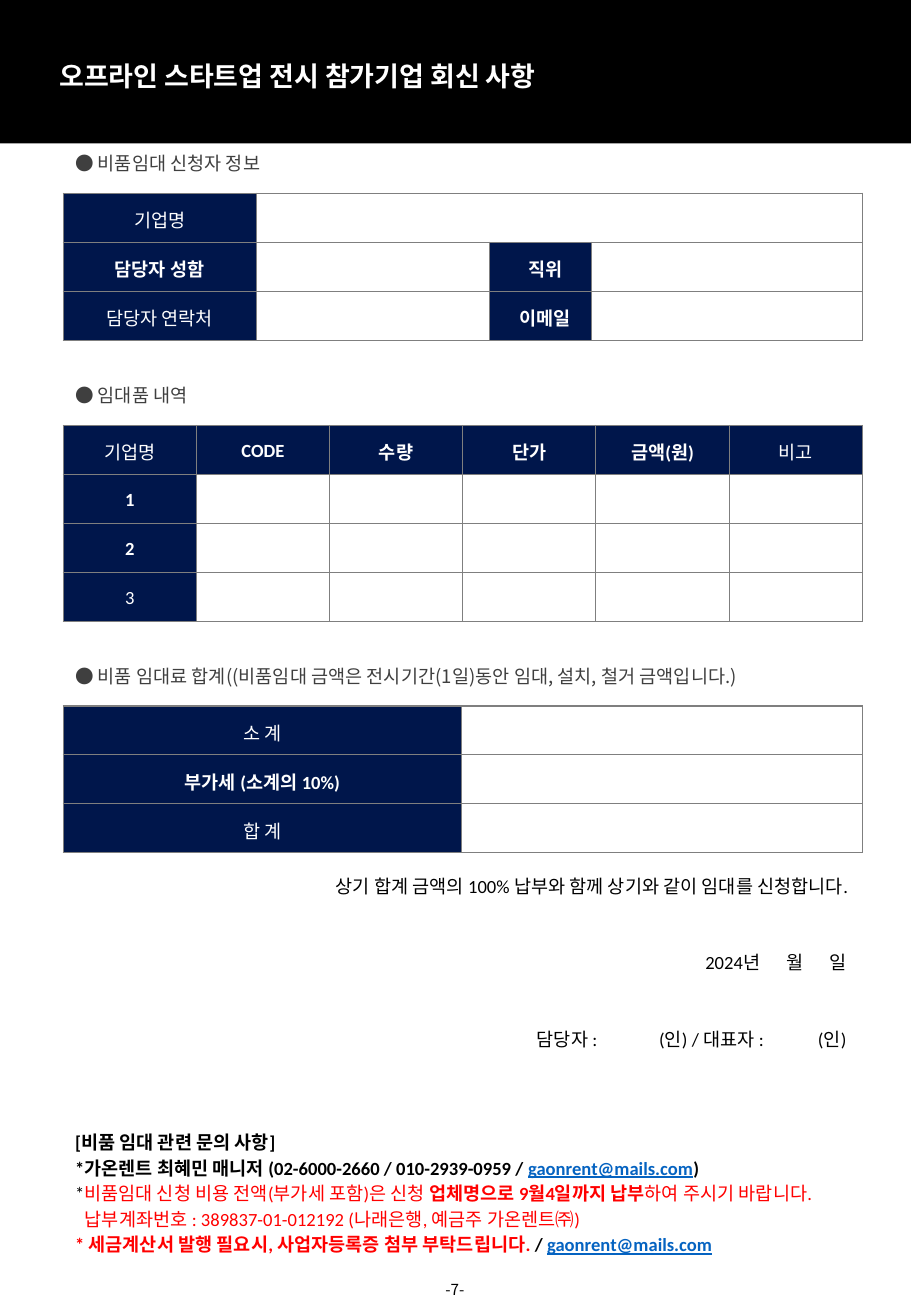
from dataclasses import dataclass
from lxml import etree
from pptx import Presentation
from pptx.dml.color import RGBColor
from pptx.enum.shapes import MSO_SHAPE as Shape
from pptx.enum.text import MSO_ANCHOR as Anchor, MSO_AUTO_SIZE as AutoSize, PP_ALIGN as Align
from pptx.oxml.ns import qn
from pptx.util import Inches, Pt


@dataclass(frozen=True)
class Theme:
    black: str = "000000"
    white: str = "FFFFFF"
    navy: str = "00164B"
    heading: str = "3F3F3F"
    border: str = "7F7F7F"
    warning: str = "FF0000"
    link: str = "0563C1"
    title_size: float = 16
    body_size: float = 11
    page_size: float = 9
    border_width: float = 0.75
    line_spacing: float = 1.15
    korean: str = "Noto Sans CJK KR"
    latin: str = "Calibri"
    title_font: str = "Arial"


UNIT = 0.1  # side of a grid square in inches
COLS, ROWS = 75, 108.3
LEFT, ROW_HEIGHT = 5.2, 4.03


def grid(n):
    return Inches(n * UNIT)


class Form:
    def __init__(self, slide, theme):
        self.slide, self.theme = slide, theme

    def style(self, r, size=None, color=None, bold=False, underline=False, font=None):
        t = self.theme
        f = r.font
        f.size, f.bold, f.underline = Pt(size or t.body_size), bold, underline
        f.color.rgb = RGBColor.from_string(color or t.black)
        f.name = font or t.latin
        latin = r._r.rPr.find(qn("a:latin"))
        ea = etree.Element(qn("a:ea"), typeface=t.korean)
        latin.addnext(ea)

    def band(self, height):
        sp = self.slide.shapes.add_shape(Shape.RECTANGLE, 0, 0, grid(COLS), grid(height))
        sp.shadow.inherit = False
        sp.fill.solid()
        sp.fill.fore_color.rgb = RGBColor.from_string(self.theme.black)
        sp.line.fill.background()

    def box(self, x, y, w, h, grow=True):
        sp = self.slide.shapes.add_textbox(grid(x), grid(y), grid(w), grid(h))
        tf = sp.text_frame
        tf.word_wrap = True
        tf.auto_size = AutoSize.SHAPE_TO_FIT_TEXT if grow else AutoSize.NONE
        return tf

    def label(self, text, x, y, w, h, align=Align.LEFT, anchor=Anchor.TOP, grow=True, **style):
        tf = self.box(x, y, w, h, grow)
        tf.text, tf.vertical_anchor = text, anchor
        p = tf.paragraphs[0]
        p.alignment = align
        self.style(p.runs[0], **style)

    def heading(self, text, y):
        self.label(text, LEFT, y, 64.7, 2.9, color=self.theme.heading, font=self.theme.korean)

    def cell(self, cell, text, bold, indent):
        """Fill a cell: navy with a white label, or white when it is left to be filled in."""
        t = self.theme
        cell.margin_left = cell.margin_right = Inches(0.07)
        cell.margin_top = cell.margin_bottom = 0
        cell.vertical_anchor = Anchor.MIDDLE
        if text:
            cell.text_frame.text = text
            p = cell.text_frame.paragraphs[0]
            p.alignment, p.line_spacing = Align.CENTER, t.line_spacing
            if indent:
                p._p.get_or_add_pPr().set("indent", str(Inches(indent)))
            self.style(p.runs[0], color=t.white, bold=bold)
        tc_pr = cell._tc.get_or_add_tcPr()
        for side in ("lnL", "lnR", "lnT", "lnB"):
            ln = etree.SubElement(tc_pr, qn(f"a:{side}"), w=str(Pt(t.border_width)))
            solid = etree.SubElement(ln, qn("a:solidFill"))
            etree.SubElement(solid, qn("a:srgbClr"), val=t.border)
        cell.fill.solid()
        cell.fill.fore_color.rgb = RGBColor.from_string(t.navy if text else t.white)

    def table(self, y, widths, labels, indents=None):
        """Build a form table; its corner labels are in regular weight."""
        n, m = len(labels), len(widths)
        frame = self.slide.shapes.add_table(
            n, m, grid(LEFT), grid(y), grid(sum(widths)), grid(n * ROW_HEIGHT))
        table = frame.table
        table.first_row = table.horz_banding = False
        for column, width in zip(table.columns, widths):
            column.width = grid(width)
        for i, row in enumerate(labels):
            table.rows[i].height = grid(ROW_HEIGHT)
            for j, text in enumerate(row):
                corner = i in (0, n - 1) and j in (0, m - 1)
                self.cell(table.cell(i, j), text, not corner, (indents or {}).get(j))
        return table

    def paragraph(self, p, parts, before=0, align=Align.LEFT, hanging=0, tabs=()):
        """Write styled runs; tabs are right tab stops in inches."""
        p_pr = p._p.get_or_add_pPr()
        if hanging:
            p_pr.set("marL", str(Inches(hanging)))
            p_pr.set("indent", str(-Inches(hanging)))
        if tabs:
            stops = etree.SubElement(p_pr, qn("a:tabLst"))
            for stop in tabs:
                etree.SubElement(stops, qn("a:tab"), pos=str(Inches(stop)), algn="r")
        p.alignment, p.line_spacing = align, self.theme.line_spacing
        p.space_before = Pt(before)
        for text, style in parts:
            r = p.add_run()
            r.text = text
            self.style(r, **style)

    def paragraphs(self, x, y, w, h, items):
        tf = self.box(x, y, w, h)
        for i, (parts, layout) in enumerate(items):
            self.paragraph(tf.add_paragraph() if i else tf.paragraphs[0], parts, **layout)


def main():
    prs = Presentation()
    prs.slide_width, prs.slide_height = grid(COLS), grid(ROWS)
    t = Theme()
    form = Form(prs.slides.add_slide(prs.slide_layouts[6]), t)

    form.band(11.8)
    form.heading("● 비품임대 신청자 정보", 12)
    applicant = form.table(15.9, (15.9, 19.2, 8.4, 22.3), [
        ("기업명", "", "", ""),
        ("담당자 성함", "", "직위", ""),
        ("담당자 연락처", "", "이메일", ""),
    ], indents={2: 0.08})
    applicant.cell(0, 1).merge(applicant.cell(0, 3))

    form.heading("● 임대품 내역", 31.1)
    header = ("기업명", "CODE", "수량", "단가", "금액(원)", "비고")
    items = [(str(n),) + ("",) * (len(header) - 1) for n in range(1, 4)]
    form.table(35, (65.8 / len(header),) * len(header), [header] + items)

    form.heading("● 비품 임대료 합계((비품임대 금액은 전시기간(1일)동안 임대, 설치, 철거 금액입니다.)", 54.2)
    form.table(58.1, (32.8, 33), [("소 계", ""), ("부가세 (소계의 10%)", ""), ("합 계", "")])

    bold = dict(bold=True)
    red = dict(color=t.warning)
    red_bold = dict(color=t.warning, bold=True)
    email = ("gaonrent@mails.com", dict(color=t.link, bold=True, underline=True))
    note = dict(hanging=0.08)
    form.paragraphs(LEFT, 71.2, 65.6, 35.1, [
        ([("상기 합계 금액의 100% 납부와 함께 상기와 같이 임대를 신청합니다.", {})],
         dict(align=Align.RIGHT)),
        ([("\t2024년\t월\t일", {})], dict(before=30.3, tabs=(5.64, 6, 6.35))),
        ([("\t담당자 :\t(인) / 대표자 :\t(인)", {})], dict(before=30.3, tabs=(4.3, 5.67, 6.35))),
        ([("[비품 임대 관련 문의 사항]", bold)], dict(before=45.8)),
        ([("*가온렌트 최혜민 매니저 (02-6000-2660 / 010-2939-0959 / ", bold), email, (")", bold)], {}),
        ([("*", {}), ("비품임대 신청 비용 전액(부가세 포함)은 신청 ", red),
          ("업체명으로 9월4일까지 납부", red_bold),
          ("하여 주시기 바랍니다. 납부계좌번호 : 389837-01-012192 (나래은행, 예금주 가온렌트㈜)", red)], note),
        ([("* 세금계산서 발행 필요시, 사업자등록증 첨부 부탁드립니다. ", red_bold),
          ("/ ", bold), email], note),
    ])

    form.label("-7-", 24.3, 103.9, 26.3, 4.4, align=Align.CENTER, anchor=Anchor.MIDDLE,
               grow=False, size=t.page_size, font=t.korean)
    form.label("오프라인 스타트업 전시 참가기업 회신 사항", 3.9, 4.4, 49.7, 3.7,
               size=t.title_size, color=t.white, bold=True, font=t.title_font)
    prs.save("out.pptx")


if __name__ == "__main__":
    main()
